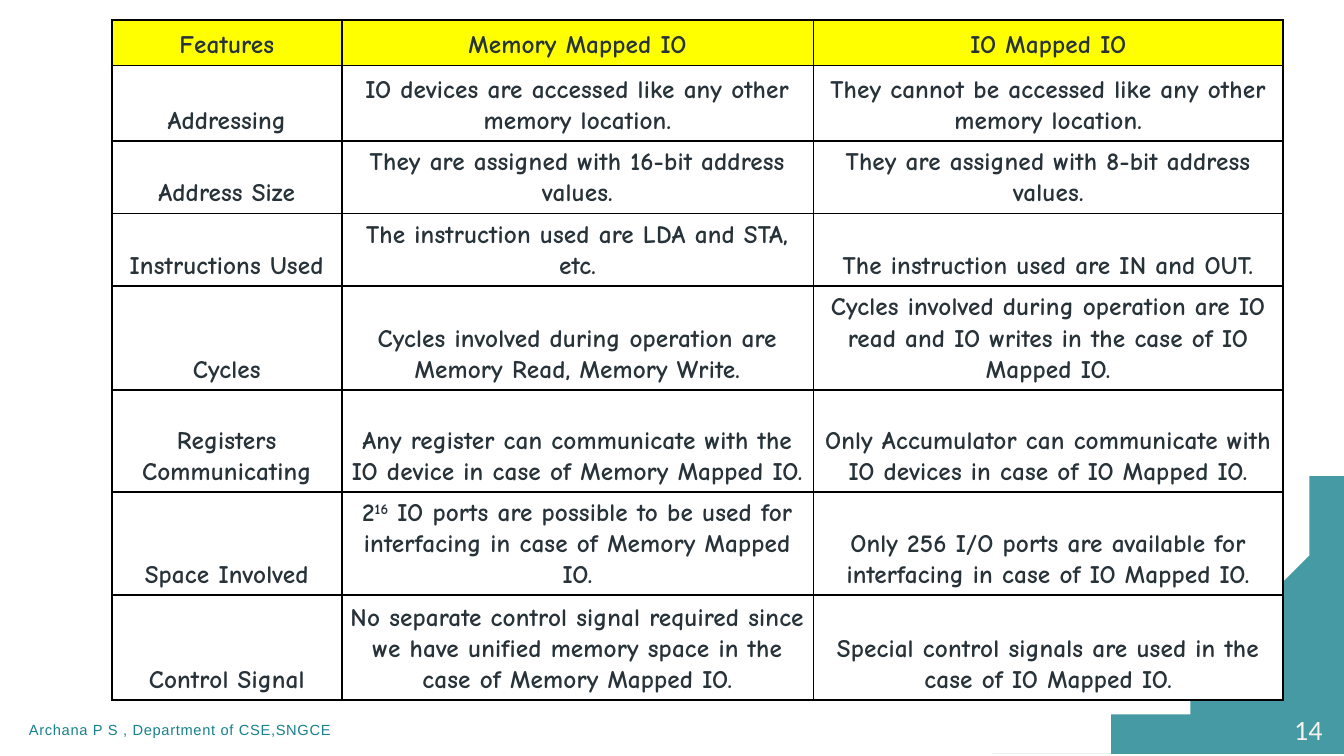
from dataclasses import dataclass

from lxml import etree
from pptx import Presentation
from pptx.dml.color import RGBColor
from pptx.enum.text import MSO_ANCHOR, PP_ALIGN
from pptx.oxml.ns import qn
from pptx.util import Cm, Pt

LEFT, CENTER, RIGHT = PP_ALIGN.LEFT, PP_ALIGN.CENTER, PP_ALIGN.RIGHT
MIDDLE, BOTTOM = MSO_ANCHOR.MIDDLE, MSO_ANCHOR.BOTTOM


@dataclass(frozen=True)
class Theme:
    teal: str = "18818C"
    ink: str = "273239"
    cream: str = "F4F2EC"
    yellow: str = "FFFF00"
    white: str = "FFFFFF"
    black: str = "000000"
    table_font: str = "Comic Neue"
    footer_font: str = "Arial"
    number_font: str = "Calibri"
    table_size: float = 18
    footer_size: float = 10.5
    number_size: float = 20
    border: float = 1.47


def add_solid(parent, tag, color):
    """Append an element that holds one RGB colour."""
    holder = etree.SubElement(parent, qn(tag))
    etree.SubElement(holder, qn("a:srgbClr"), val=color)


def write_text(frame, text, *, font, size, color, bold=False, align=LEFT,
               spacing=0, highlight=None, line=None, after=None):
    """Fill a text frame; parts between ^ marks are superscript."""
    para = frame.paragraphs[0]
    para.alignment = align
    if line:
        para.line_spacing = line
    if after:
        para.space_after = Pt(after)
    for index, part in enumerate(text.split("^")):
        span = para.add_run()
        span.text = part
        span.font.size, span.font.bold = Pt(size), bold
        span.font.color.rgb = RGBColor.from_string(color)
        properties = span.font._element
        if spacing:
            properties.set("spc", str(round(spacing * 100)))
        if index % 2:
            properties.set("baseline", "30000")
        if highlight:
            add_solid(properties, "a:highlight", highlight)
        span.font.name = font


class SlideBuilder:
    def __init__(self, page, theme):
        self.page, self.theme = page, theme

    def curved_corner(self, corner, curve, steps=60):
        """Draw the area between a cubic curve and the slide corner."""
        points = []
        for step in range(steps + 1):
            t = step / steps
            weights = ((1 - t) ** 3, 3 * t * (1 - t) ** 2,
                       3 * t ** 2 * (1 - t), t ** 3)
            points.append(tuple(sum(w * p[axis] for w, p in zip(weights, curve))
                                for axis in (0, 1)))
        builder = self.page.shapes.build_freeform(*corner, scale=Cm(1))
        builder.add_line_segments(points, close=True)
        shape = builder.convert_to_shape()
        shape.shadow.inherit = False
        shape.line.fill.background()
        shape.fill.solid()
        shape.fill.fore_color.rgb = RGBColor.from_string(self.theme.teal)
        color = shape._element.spPr.find(qn("a:solidFill"))[0]
        etree.SubElement(color, qn("a:alpha"), val="80000")

    def text(self, text, left, top, width, height, **style):
        box = self.page.shapes.add_textbox(Cm(left), Cm(top), Cm(width), Cm(height))
        frame = box.text_frame
        frame.word_wrap = True
        frame.vertical_anchor = MIDDLE
        write_text(frame, text, **style)

    def table(self, rows, left, top, widths, heights):
        frame = self.page.shapes.add_table(
            len(rows), len(widths), Cm(left), Cm(top), Cm(sum(widths)), Cm(sum(heights)))
        table = frame.table
        table.first_row = table.horz_banding = False
        for column, width in zip(table.columns, widths):
            column.width = Cm(width)
        for row, height in zip(table.rows, heights):
            row.height = Cm(height)
        for r, texts in enumerate(rows):
            for c, text in enumerate(texts):
                self.cell(table.cell(r, c), text, header=r == 0, side=0.15 if c else 0.1)

    def cell(self, cell, text, header, side):
        theme = self.theme
        cell.vertical_anchor = BOTTOM
        cell.margin_left = cell.margin_right = Cm(side)
        cell.margin_top = cell.margin_bottom = Cm(0.13)
        properties = cell._tc.get_or_add_tcPr()
        for edge in ("a:lnL", "a:lnR", "a:lnT", "a:lnB"):
            border = etree.SubElement(properties, qn(edge), w=str(Pt(theme.border)))
            add_solid(border, "a:solidFill", theme.black)
        cell.fill.solid()
        cell.fill.fore_color.rgb = RGBColor.from_string(
            theme.yellow if header else theme.white)
        write_text(cell.text_frame, text, font=theme.table_font, size=theme.table_size,
                   color=theme.ink, bold=True, align=CENTER, spacing=0.1,
                   highlight=theme.yellow if header else None, line=1.07, after=8)


ROWS = [
    ("Features", "Memory Mapped IO", "IO Mapped IO"),
    ("Addressing",
     "IO devices are accessed like any other memory location.",
     "They cannot be accessed like any other memory location."),
    ("Address Size",
     "They are assigned with 16-bit address values.",
     "They are assigned with 8-bit address values."),
    ("Instructions Used",
     "The instruction used are LDA and STA, etc.",
     "The instruction used are IN and OUT."),
    ("Cycles",
     "Cycles involved during operation are Memory Read, Memory Write.",
     "Cycles involved during operation are IO read and IO writes in the case of "
     "IO Mapped IO."),
    ("Registers Communicating",
     "Any register can communicate with the IO device in case of Memory Mapped IO.",
     "Only Accumulator can communicate with IO devices in case of IO Mapped IO."),
    ("Space Involved",
     "2^16^ IO ports are possible to be used for interfacing in case of "
     "Memory Mapped IO.",
     "Only 256 I/O ports are available for interfacing in case of IO Mapped IO."),
    ("Control Signal",
     "No separate control signal required since we have unified memory space in "
     "the case of Memory Mapped IO.",
     "Special control signals are used in the case of IO Mapped IO."),
]


def main():
    theme = Theme()
    deck = Presentation()
    deck.slide_width, deck.slide_height = Cm(33.87), Cm(19.05)
    slide = SlideBuilder(deck.slides.add_slide(deck.slide_layouts[6]), theme)

    # Corner decoration
    slide.curved_corner((33.87, 19.05), [(24.59, 19.05), (29.41, 19.05),
                                         (33.4, 15.29), (33.87, 10.36)])

    # Comparison table
    slide.table(ROWS, 2.82, 0.51, widths=(5.79, 11.89, 11.84),
                heights=(1.14, 1.9, 1.8, 1.8, 2.57, 2.57, 2.57, 2.64))

    # Footer and slide number
    slide.text("Archana P S , Department of CSE,SNGCE", 0.48, 17.88, 10.49, 1.02,
               font=theme.footer_font, size=theme.footer_size, color=theme.teal,
               spacing=0.5)
    slide.text("14", 31.65, 17.88, 1.93, 1.02, font=theme.number_font,
               size=theme.number_size, color=theme.cream, align=RIGHT)

    deck.save("out.pptx")


if __name__ == "__main__":
    main()
